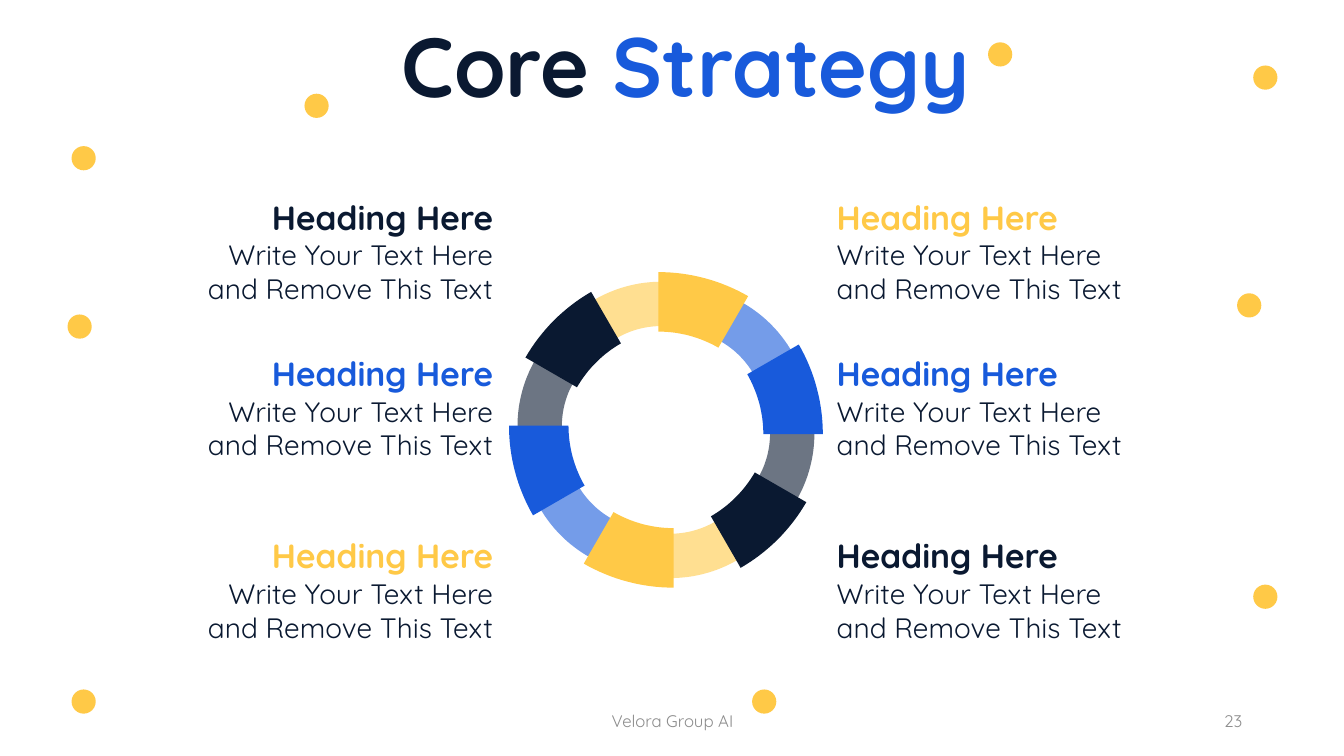
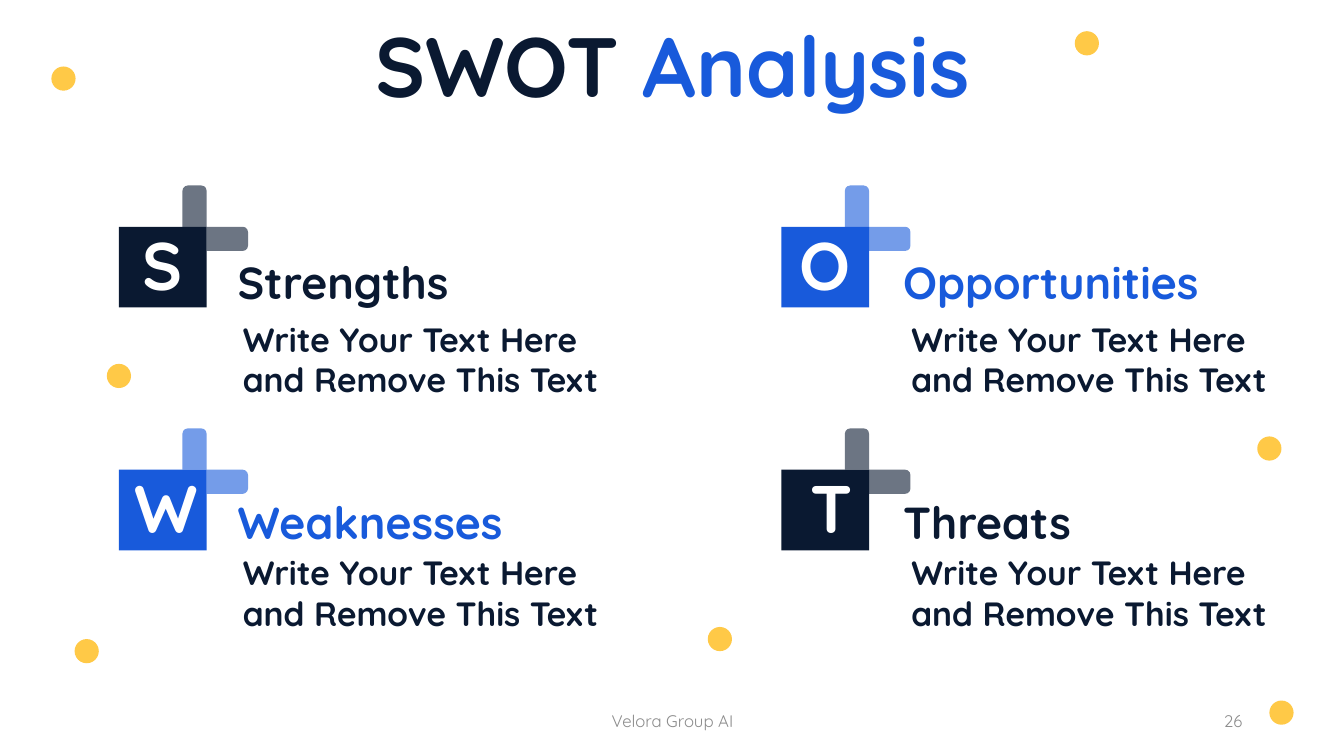
from math import cos, radians, sin

from pptx import Presentation
from pptx.dml.color import RGBColor
from pptx.enum.shapes import MSO_SHAPE
from pptx.enum.text import MSO_ANCHOR, MSO_AUTO_SIZE, PP_ALIGN
from pptx.util import Inches, Pt

# Shared style
NAVY = RGBColor(0x0A, 0x19, 0x31)
BLUE = RGBColor(0x18, 0x5A, 0xDB)
YELLOW = RGBColor(0xFF, 0xC9, 0x47)
PALE_NAVY = RGBColor(0x6C, 0x75, 0x83)
PALE_BLUE = RGBColor(0x74, 0x9C, 0xE9)
PALE_YELLOW = RGBColor(0xFF, 0xDF, 0x91)
GREY = RGBColor(0x8C, 0x8C, 0x8C)
WHITE = RGBColor(0xFF, 0xFF, 0xFF)
PALE = {NAVY: PALE_NAVY, BLUE: PALE_BLUE, YELLOW: PALE_YELLOW}

FONT = "Quicksand"
LEFT, CENTER, RIGHT = PP_ALIGN.LEFT, PP_ALIGN.CENTER, PP_ALIGN.RIGHT
TOP, MIDDLE = MSO_ANCHOR.TOP, MSO_ANCHOR.MIDDLE
NO_AUTOFIT = MSO_AUTO_SIZE.NONE
OVAL, RECTANGLE = MSO_SHAPE.OVAL, MSO_SHAPE.RECTANGLE
ROUNDED_TOP = MSO_SHAPE.ROUND_2_SAME_RECTANGLE

TITLE_ONLY = 5
DOT_SIZE = 0.24
FOOTER = "Velora Group AI"
BODY = "Write Your Text Here and Remove This Text"


def place(shape, left, top, width, height):
    shape.left, shape.top = Inches(left), Inches(top)
    shape.width, shape.height = Inches(width), Inches(height)


def write(shape, runs, size, bold=False, align=LEFT, anchor=TOP):
    """Fill a shape with one paragraph of (text, colour) runs."""
    frame = shape.text_frame
    frame.word_wrap = True
    frame.auto_size = NO_AUTOFIT
    frame.vertical_anchor = anchor
    paragraph = frame.paragraphs[0]
    paragraph.alignment = align
    for text, colour in runs:
        run = paragraph.add_run()
        run.text = text
        run.font.name = FONT
        run.font.size = Pt(size)
        run.font.bold = bold
        run.font.color.rgb = colour


def add_text(slide, text, left, top, width, height, colour=NAVY, **style):
    box = slide.shapes.add_textbox(
        Inches(left), Inches(top), Inches(width), Inches(height))
    write(box, [(text, colour)], **style)


def paint(shape, colour):
    shape.shadow.inherit = False
    shape.fill.solid()
    shape.fill.fore_color.rgb = colour
    shape.line.fill.background()


def add_filled(slide, kind, left, top, width, height, colour):
    shape = slide.shapes.add_shape(
        kind, Inches(left), Inches(top), Inches(width), Inches(height))
    paint(shape, colour)
    return shape


def add_base_slide(presentation, title_runs, title_center, number, dots):
    """Add a slide with title, footer, page number and dots by centre."""
    slide = presentation.slides.add_slide(
        presentation.slide_layouts[TITLE_ONLY])
    title = slide.shapes.title
    place(title, title_center - 3.9, 0.08, 7.8, 1.11)
    write(title, title_runs, size=60, bold=True, align=CENTER)
    for x, y in dots:
        add_filled(slide, OVAL, x - DOT_SIZE / 2, y - DOT_SIZE / 2,
                   DOT_SIZE, DOT_SIZE, YELLOW)
    add_text(slide, FOOTER, 4.42, 6.95, 4.5, 0.4, GREY,
             size=12, align=CENTER, anchor=MIDDLE)
    add_text(slide, str(number), 9.42, 6.95, 3, 0.4, GREY,
             size=12, align=RIGHT, anchor=MIDDLE)
    return slide


# Core strategy
def arc_points(center, radius, start, end, steps=16):
    """Points along an arc; angles run clockwise from twelve o'clock."""
    angles = [radians(start + (end - start) * step / steps)
              for step in range(steps + 1)]
    return [(Inches(center[0] + radius * sin(angle)),
             Inches(center[1] - radius * cos(angle))) for angle in angles]


def add_ring_segment(slide, center, inner, outer, start, colour):
    points = (arc_points(center, outer, start, start + 30)
              + arc_points(center, inner, start + 30, start))
    builder = slide.shapes.build_freeform(*points[0], scale=1.0)
    builder.add_line_segments(points[1:], close=True)
    paint(builder.convert_to_shape(), colour)


def add_ring(slide, offset, inner, outer, start, colours):
    """Turn one 30-degree segment six times around the ring's centre."""
    for index in range(6):
        turn = radians(60 * index)
        center = (6.605 + offset[0] * cos(turn) - offset[1] * sin(turn),
                  4.265 + offset[0] * sin(turn) + offset[1] * cos(turn))
        add_ring_segment(slide, center, inner, outer, start + 60 * index,
                         colours[index % len(colours)])


def build_core_strategy(presentation):
    slide = add_base_slide(
        presentation, [("Core", NAVY), (" Strategy", BLUE)], 6.8, 23,
        [(3.14, 1.05), (0.83, 1.57), (0.79, 3.24), (9.92, 0.54),
         (12.39, 3.03), (12.55, 0.77), (7.58, 6.96), (0.83, 6.96),
         (12.55, 5.92)])
    colours = [YELLOW, BLUE, NAVY]
    add_ring(slide, (-0.045, -0.15), 0.88, 1.32, -30,
             [PALE[colour] for colour in colours])
    add_ring(slide, (-0.075, 0.215), 1.19, 1.78, 0, colours)

    # Headings beside the ring
    columns = [(1.69, RIGHT, [NAVY, BLUE, YELLOW]),
               (8.2, LEFT, [YELLOW, BLUE, NAVY])]
    for left, align, heading_colours in columns:
        for top, colour in zip([1.9, 3.45, 5.26], heading_colours):
            add_text(slide, "Heading Here", left, top, 3.3, 0.5, colour,
                     size=24, bold=True, align=align)
            add_text(slide, BODY, left, top + 0.41, 3.3, 0.77,
                     size=20, align=align)


# SWOT analysis
def add_letter_tile(slide, letter, left, top, colour, nudge):
    """Square with a letter and two tabs at its top right corner."""
    width, height, tab_width, tab_length = 0.87, 0.8, 0.24, 0.41
    right = left + width
    tab = add_filled(slide, ROUNDED_TOP, right - tab_width, top - tab_length,
                     tab_width, tab_length, PALE[colour])
    side_tab = add_filled(slide, ROUNDED_TOP,
                          right + (tab_length - tab_width) / 2,
                          top - (tab_length - tab_width) / 2,
                          tab_width, tab_length, PALE[colour])
    side_tab.rotation = 90
    for shape in (tab, side_tab):
        shape.adjustments[0] = 0.22
    square = add_filled(slide, RECTANGLE, left, top, width, height, colour)
    frame = square.text_frame
    frame.margin_left = Inches(2 * nudge)
    frame.margin_right = frame.margin_top = 0
    frame.margin_bottom = Inches(0.06)
    write(square, [(letter, WHITE)], size=48, bold=True,
          align=CENTER, anchor=MIDDLE)


def build_swot(presentation):
    slide = add_base_slide(
        presentation, [("SWOT ", NAVY), ("Analysis", BLUE)], 6.67, 26,
        [(0.63, 0.78), (10.78, 0.43), (12.59, 4.45), (7.14, 6.34),
         (12.71, 7.07), (1.18, 3.73), (0.86, 6.46)])
    # Tile, heading and body positions along each axis
    first_column, second_column = (1.18, 2.26, 2.31), (7.75, 8.86, 8.94)
    first_row, second_row = (2.25, 2.48, 3.11), (4.66, 4.86, 5.43)
    parts = [("Strengths", NAVY, first_column, first_row, 0),
             ("Weaknesses", BLUE, first_column, second_row, 0.03),
             ("Opportunities", BLUE, second_column, first_row, 0),
             ("Threats", NAVY, second_column, second_row, 0.06)]
    for heading, colour, column, row, nudge in parts:
        add_letter_tile(slide, heading[0], column[0], row[0], colour, nudge)
        add_text(slide, heading, column[1], row[1], 3.96, 0.64, colour,
                 size=32, bold=True)
        add_text(slide, BODY, column[2], row[2], 3.93, 0.91,
                 size=24, bold=True)


def main():
    presentation = Presentation()
    presentation.slide_width = Inches(13.33)
    presentation.slide_height = Inches(7.5)
    build_core_strategy(presentation)
    build_swot(presentation)
    presentation.save("out.pptx")


main()
